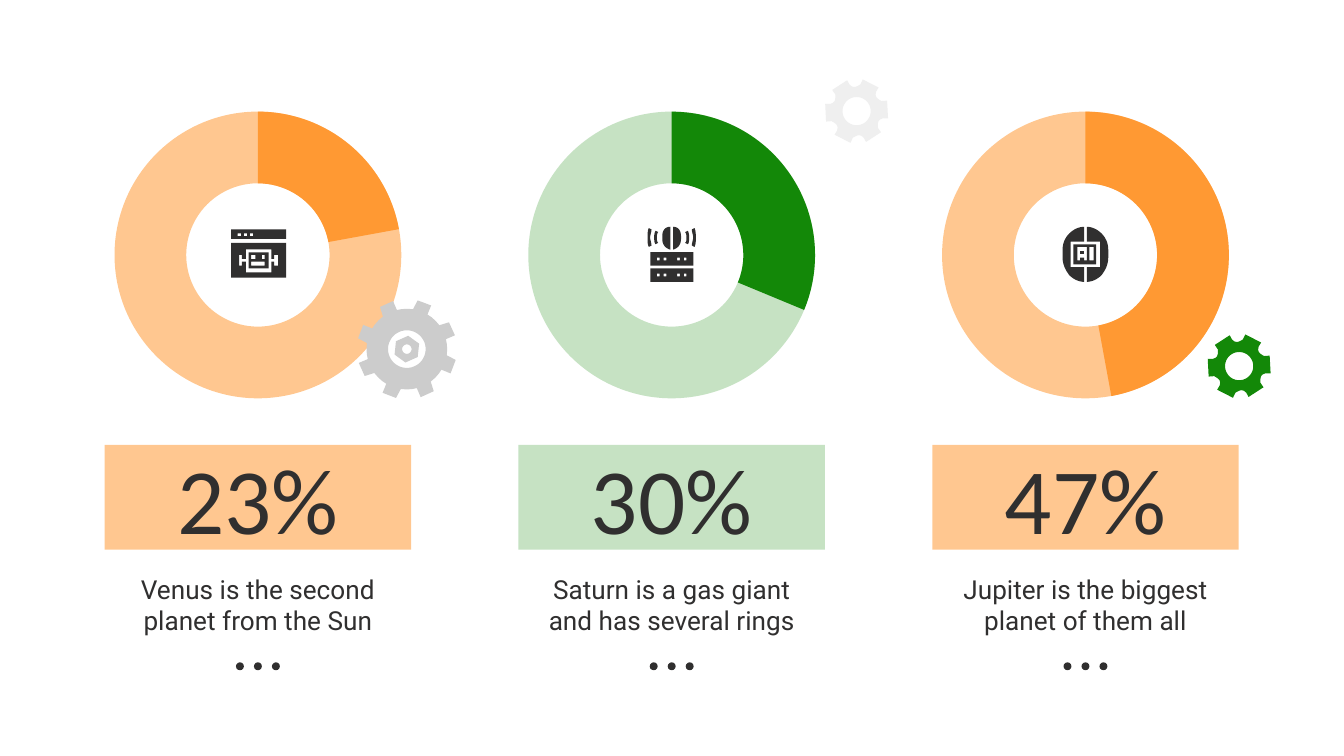
import math
from dataclasses import dataclass

import pptx
import pptx.dml.color
import pptx.enum.shapes
import pptx.enum.text
import pptx.oxml
import pptx.oxml.ns
import pptx.util
from pptx.util import Cm

SHAPE = pptx.enum.shapes.MSO_SHAPE
ANCHOR = pptx.enum.text.MSO_ANCHOR
GRID = Cm(0.0254)  # one step of the icon and gear drawings


@dataclass(frozen=True)
class Theme:
    ink: str = "302F2F"
    orange: str = "FF9933"
    green: str = "138808"
    grey: str = "CCCCCC"
    pale_grey: str = "EFEFEF"
    orange_tint: int = 54
    green_tint: int = 24
    figure_font: str = "Calibri"
    figure_size: int = 50
    caption_font: str = "Roboto"
    caption_size: int = 14


THEME = Theme()


def paint(shape, color, opacity=100):
    """Fill a shape flatly, with no line or shadow; opacity is in percent."""
    shape.shadow.inherit = False
    shape.line.fill.background()
    shape.fill.solid()
    shape.fill.fore_color.rgb = pptx.dml.color.RGBColor.from_string(color)
    if opacity < 100:
        tint = shape.fill._xPr.find(".//" + pptx.oxml.ns.qn("a:srgbClr"))
        alpha = pptx.oxml.parse_xml(f'<a:alpha {pptx.oxml.ns.nsdecls("a")} val="{opacity * 1000}"/>')
        tint.append(alpha)


def write(shape, words, font_name, size, anchor):
    frame = shape.text_frame
    frame.word_wrap = True
    frame.vertical_anchor = anchor
    frame.margin_left = frame.margin_right = frame.margin_top = frame.margin_bottom = Cm(0.25)
    frame.text = words
    paragraph = frame.paragraphs[0]
    paragraph.alignment = pptx.enum.text.PP_ALIGN.CENTER
    font = paragraph.runs[0].font
    font.name, font.size = font_name, pptx.util.Pt(size)
    font.color.rgb = pptx.dml.color.RGBColor.from_string(THEME.ink)


def rect(left, top, right, bottom):
    return [(left, top), (right, top), (right, bottom), (left, bottom)]


def mirror(contour):
    return [tuple(-v if i % 2 == 0 else v for i, v in enumerate(step)) for step in contour]


def radial(corners, count, start=0):
    """Repeat (radius, degrees) corners evenly around the centre."""
    angles = [(r, math.radians(a + start + 360 * n / count)) for n in range(count) for r, a in corners]
    return [(r * math.cos(a), r * math.sin(a)) for r, a in angles]


def circle(radius):
    return radial([(radius, 0)], 48)


def flatten(contour):
    """Turn steps into points: a pair is a corner, six numbers are a Bézier curve."""
    points = []
    for step in contour:
        if len(step) == 2:
            points.append(step)
            continue
        knots = [points[-1], step[:2], step[2:4], step[4:]]
        for t in (n / 8 for n in range(1, 9)):
            weights = ((1 - t) ** 3, 3 * t * (1 - t) ** 2, 3 * t * t * (1 - t), t ** 3)
            points.append(tuple(sum(w * k[axis] for w, k in zip(weights, knots)) for axis in (0, 1)))
    return points


def draw(shapes, center_x, center_y, contours, color):
    """Draw one outline; contours inside the first one are holes."""
    builder = None
    for contour in contours:
        points = [(x * GRID, y * GRID) for x, y in flatten(contour)]
        if builder is None:
            builder = shapes.build_freeform(*points[0], scale=1.0)
        else:
            builder.move_to(*points[0])
        builder.add_line_segments(points[1:], close=True)
    paint(builder.convert_to_shape(center_x, center_y), color)


def robot_window():
    visor = [(10, -4), (10, 3), (12, 3), (12, 0), (15, 0), (15, 8), (12, 8), (12, 5), (10, 5), (10, 13),
             (-9, 13), (-9, 5), (-12, 5), (-12, 8), (-14, 8), (-14, 0), (-12, 0), (-12, 3), (-9, 3), (-9, -4)]
    face = [rect(-7, -2, 8, 10), rect(-5, 0, -2, 3), rect(3, 0, 5, 3), rect(-5, 5, 5, 8)]
    buttons = [rect(x, -16, x + 2.5, -14) for x in (-15, -10.5, -6)]
    return [face, [rect(-20, -9, 21, 17), visor], [rect(-20, -19, 21, -12), *buttons]]


def server():
    dome = [(1, -21), (5, -21, 7, -18, 7, -14), (7, -12), (7, -8, 5, -5, 1, -4)]
    near_wave = [(12, -18), (10, -17), (11, -16, 11, -14, 11, -13), (11, -11, 11, -10, 10, -9),
                 (12, -8), (13, -9, 13, -11, 13, -13), (13, -15, 13, -16, 12, -18)]
    far_wave = [(17, -20), (15, -19), (15, -17, 16, -15, 16, -13), (16, -11, 15, -9, 15, -7),
                (17, -6), (18, -8, 18, -10, 18, -13), (18, -15, 18, -18, 17, -20)]
    racks = [[rect(-16, y, 16, y + 10)] + [rect(x, y + 4, x + 2, y + 6) for x in (-11, -6, 4, 9)]
             for y in (-2, 10)]
    return racks + [[side] for part in (dome, near_wave, far_wave) for side in (part, mirror(part))]


def ai_chip():
    half = [(1, -21), (1, -10), (11, -10), (11, 9), (1, 9), (1, 20), (5, 20, 9, 18, 12, 15),
            (15, 11, 17, 7, 17, 2), (17, -4), (17, -9, 15, -13, 12, -16), (9, -19, 5, -21, 1, -21)]
    letter_a = [(1, -6), (1, 4), (-1, 4), (-1, 2), (-4, 2), (-4, 4), (-6, 4), (-6, -6)]
    return [[rect(-4, -3, -1, -1)], [rect(-9, -8, 8, 7), letter_a, rect(3, -6, 6, 4)], [half], [mirror(half)]]


def small_gear():
    tooth = [(24, -79), (24, -47), (20.5, -45), (18.7, -41), (18, -36), (18.2, -31), (19, -26), (20, -22)]
    return [[radial(tooth, 6), circle(10.5)]]


def large_gear():
    tooth = [(37.2, -77.5), (29, -82), (29, -59), (37.2, -61)]
    teeth = [[radial(tooth, 1, 45 * n)] for n in range(8)]
    nut = [radial([(10, -84)], 6), circle(3.5)]
    return [[circle(30), circle(14)], *teeth, nut]


def place_drawing(slide, center_x, center_y, parts, color):
    shapes = slide.shapes.add_group_shape().shapes if len(parts) > 1 else slide.shapes
    for contours in parts:
        draw(shapes, center_x, center_y, contours, color)


def share_ring(slide, left, top, size, sweep, color, tint):
    """Draw a tinted ring with a solid arc running clockwise from the top."""
    ring = slide.shapes.add_shape(SHAPE.DONUT, left, top, size, size)
    paint(ring, color, tint)
    arc = slide.shapes.add_shape(SHAPE.BLOCK_ARC, left, top, size, size)
    for index, value in enumerate(((360 - sweep) * 0.6, 0, 0.25)):
        arc.adjustments[index] = value
    arc.rotation = 90
    arc._element.spPr.xfrm.set("flipH", "1")
    paint(arc, color)


def ellipsis_dots(slide, center_x, top):
    dots = slide.shapes.add_group_shape().shapes
    size = Cm(0.15)
    for step in (-1, 0, 1):
        left = center_x + step * Cm(0.34) - size // 2
        paint(dots.add_shape(SHAPE.OVAL, left, top, size, size), THEME.ink)


def planet_column(slide, left, top, width, figure, caption, sweep, color, tint, icon):
    ring_size = Cm(5.42)
    center_x = left + width // 2
    banner = slide.shapes.add_shape(SHAPE.RECTANGLE, left, top + Cm(6.3), width, Cm(1.98))
    paint(banner, color, tint)
    write(banner, figure, THEME.figure_font, THEME.figure_size, ANCHOR.MIDDLE)
    description = slide.shapes.add_textbox(left, top + Cm(8.48), width, Cm(1.6))
    write(description, caption, THEME.caption_font, THEME.caption_size, ANCHOR.TOP)
    share_ring(slide, center_x - ring_size // 2, top, ring_size, sweep, color, tint)
    place_drawing(slide, center_x, top + ring_size // 2, icon, THEME.ink)
    ellipsis_dots(slide, center_x, top + Cm(10.41))


def main():
    deck = pptx.Presentation()
    deck.slide_width, deck.slide_height = Cm(25.4), Cm(14.29)
    slide = deck.slides.add_slide(deck.slide_layouts[6])
    orange, green = (THEME.orange, THEME.orange_tint), (THEME.green, THEME.green_tint)
    planets = [
        ("23%", "Venus is the second planet from the Sun", 79.6, *orange, robot_window()),
        ("30%", "Saturn is a gas giant and has several rings", 112.5, *green, server()),
        ("47%", "Jupiter is the biggest planet of them all", 169.6, *orange, ai_chip()),
    ]
    for index, planet in enumerate(planets):
        planet_column(slide, Cm(1.98) + index * Cm(7.82), Cm(2.11), Cm(5.79), *planet)
    place_drawing(slide, Cm(16.19), Cm(2.1), small_gear(), THEME.pale_grey)
    place_drawing(slide, Cm(7.69), Cm(6.6), large_gear(), THEME.grey)
    place_drawing(slide, Cm(23.42), Cm(6.92), small_gear(), THEME.green)
    deck.save("out.pptx")


if __name__ == "__main__":
    main()
